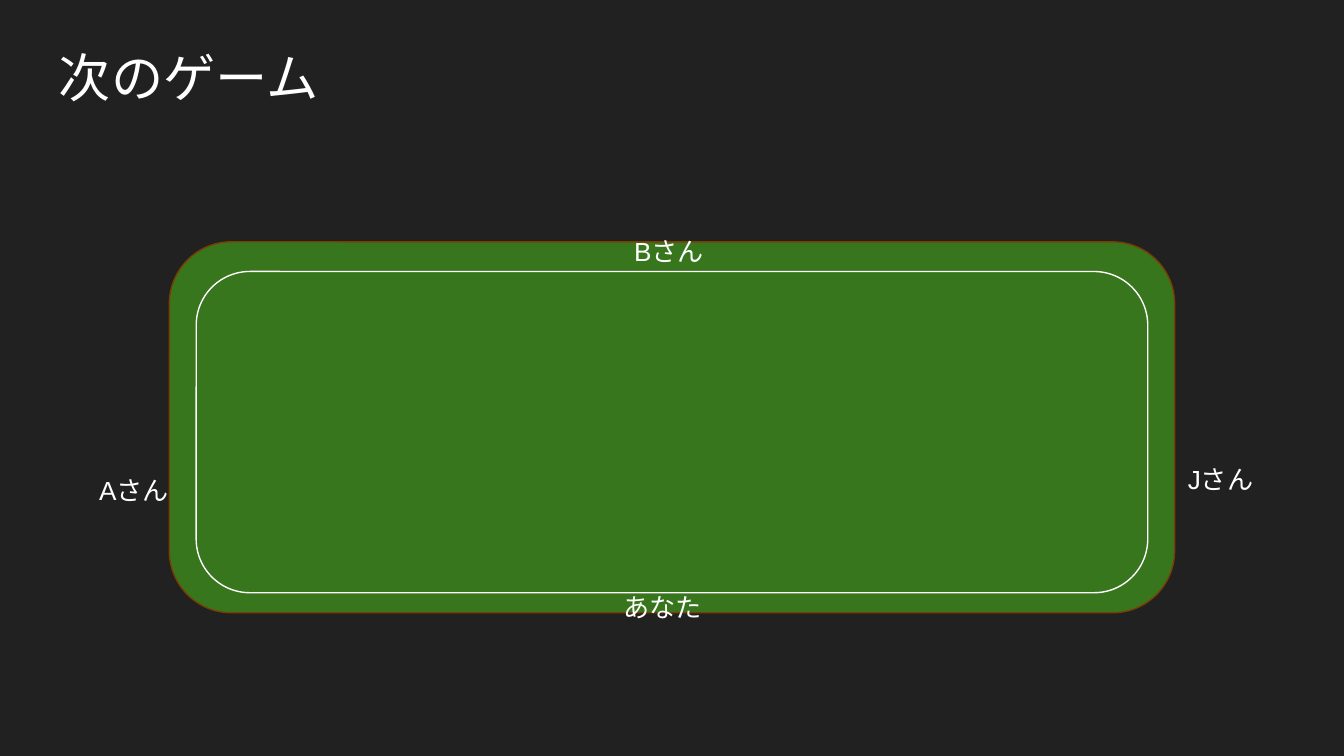
from dataclasses import dataclass

import pptx
import pptx.dml.color
import pptx.enum.shapes
import pptx.enum.text
import pptx.slide
import pptx.util
from pptx.util import Inches

COLOURS = {
    "background": "212121",
    "felt": "38761D",
    "rim": "783F04",
    "white": "FFFFFF",
}
FONT = "Arial"
CORNER = 0.167


@dataclass
class Panel:
    left: float
    top: float
    width: float
    height: float
    outline: str


@dataclass
class Label:
    text: str
    left: float
    top: float
    width: float = 1.44
    height: float = 0.27
    size: int = 14
    anchor: pptx.enum.text.MSO_ANCHOR = pptx.enum.text.MSO_ANCHOR.MIDDLE


TABLE_PANELS = [
    Panel(1.26, 1.8, 7.48, 2.76, "rim"),
    Panel(1.46, 2.02, 7.08, 2.39, "white"),
]
TITLE = Label("次のゲーム", 0.34, 0.24, 9.32, 0.63, 28, pptx.enum.text.MSO_ANCHOR.TOP)
PLAYERS = [
    Label("Bさん", 4.62, 1.73),
    Label("Jさん", 8.74, 3.43),
    Label("Aさん", 0.64, 3.51),
    Label("あなた", 4.54, 4.38),
]


def colour(name: str) -> pptx.dml.color.RGBColor:
    return pptx.dml.color.RGBColor.from_string(COLOURS[name])


def draw_panel(slide: pptx.slide.Slide, panel: Panel) -> None:
    surface = slide.shapes.add_shape(
        pptx.enum.shapes.MSO_SHAPE.ROUNDED_RECTANGLE,
        Inches(panel.left), Inches(panel.top),
        Inches(panel.width), Inches(panel.height),
    )
    surface.adjustments[0] = CORNER
    surface.shadow.inherit = False
    surface.fill.solid()
    surface.fill.fore_color.rgb = colour("felt")
    surface.line.color.rgb = colour(panel.outline)
    surface.line.width = pptx.util.Pt(0.75)


def draw_label(slide: pptx.slide.Slide, label: Label) -> None:
    box = slide.shapes.add_textbox(
        Inches(label.left), Inches(label.top),
        Inches(label.width), Inches(label.height),
    )
    frame = box.text_frame
    frame.word_wrap = True
    frame.vertical_anchor = label.anchor
    frame.margin_left = frame.margin_right = Inches(0.1)
    frame.margin_top = frame.margin_bottom = Inches(0.1)
    paragraph = frame.paragraphs[0]
    paragraph.text = label.text
    paragraph.font.name = FONT
    paragraph.font.size = pptx.util.Pt(label.size)
    paragraph.font.color.rgb = colour("white")


def main() -> None:
    deck = pptx.Presentation()
    # Widescreen, 16:9
    deck.slide_width = Inches(10)
    deck.slide_height = Inches(10 * 9 / 16)
    slide = deck.slides.add_slide(deck.slide_layouts[6])
    slide.background.fill.solid()
    slide.background.fill.fore_color.rgb = colour("background")

    # Title
    draw_label(slide, TITLE)

    # Card table: rim, then inner line
    for panel in TABLE_PANELS:
        draw_panel(slide, panel)

    # Players around the table
    for player in PLAYERS:
        draw_label(slide, player)

    deck.save("out.pptx")


if __name__ == "__main__":
    main()
